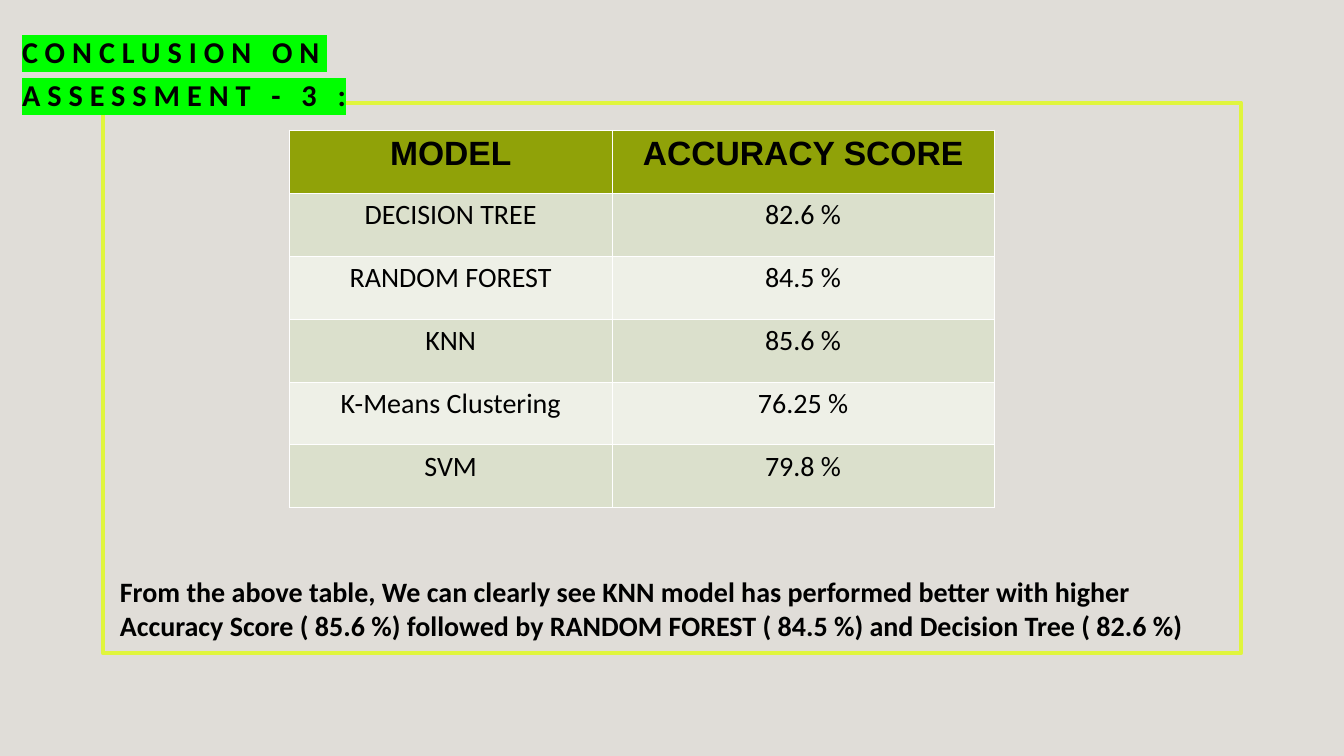
from lxml import etree
from pptx import Presentation
from pptx import util as u
from pptx.dml.color import RGBColor
from pptx.enum import shapes, text
from pptx.oxml import ns

MODELS = [
    ("MODEL", "ACCURACY SCORE"),
    ("DECISION TREE", "82.6 %"),
    ("RANDOM FOREST", "84.5 %"),
    ("KNN", "85.6 %"),
    ("K-Means Clustering", "76.25 %"),
    ("SVM", "79.8 %"),
]
SUMMARY = (
    "From the above table, We can clearly see KNN model has performed better with higher "
    "Accuracy Score ( 85.6 %) followed by RANDOM FOREST ( 84.5 %) and Decision Tree ( 82.6 %)"
)


def color(value):
    """Turn a hex string into a colour."""
    return RGBColor.from_string(value)


class Page:
    """Hold the style and the current slide."""

    ink, accent, header = "000000", "E0F53D", "90A208"
    bands, rule, marker = ("EEF0E7", "DBE0CC"), "FFFFFF", "00FF00"

    def __init__(self, deck, background):
        """Add a blank slide with a plain background."""
        self.slide = deck.slides.add_slide(deck.slide_layouts[6])
        fill = self.slide.background.fill
        fill.solid()
        fill.fore_color.rgb = color(background)

    def add_words(self, para, words, size, bold=True, face="Calibri"):
        """Put one styled run into a paragraph."""
        span = para.add_run()
        span.text = words
        para.font.name, para.font.size, para.font.bold = face, u.Pt(size), bold
        para.font.color.rgb = color(self.ink)
        return span

    def frame(self, *place):
        """Draw an outlined rectangle."""
        box = self.slide.shapes.add_shape(shapes.MSO_SHAPE.RECTANGLE, *map(u.Inches, place))
        box.shadow.inherit = False
        box.fill.background()
        box.line.color.rgb = color(self.accent)
        box.line.width = u.Pt(3)

    def textbox(self, words, size, *place, anchor=text.MSO_ANCHOR.TOP):
        """Add wrapped bold text and return its paragraph and run."""
        box = self.slide.shapes.add_textbox(*map(u.Inches, place))
        box.text_frame.word_wrap = True
        box.text_frame.vertical_anchor = anchor
        para = box.text_frame.paragraphs[0]
        return para, self.add_words(para, words, size)

    def title(self, words, *place):
        """Add a spaced title with a marker highlight."""
        para, span = self.textbox(words, 21.6, *place, anchor=text.MSO_ANCHOR.BOTTOM)
        para.line_spacing = 1.2
        props = span.font._element
        props.set("spc", "500")
        highlight = etree.SubElement(props, ns.qn("a:highlight"))
        etree.SubElement(highlight, ns.qn("a:srgbClr"), val=self.marker)

    def border(self, cell):
        """Draw thin lines on all four sides of a cell."""
        props = cell._tc.get_or_add_tcPr()
        for index, side in enumerate(("lnL", "lnR", "lnT", "lnB")):
            line = etree.Element(ns.qn(f"a:{side}"), w=str(u.Pt(0.75)))
            fill = etree.SubElement(line, ns.qn("a:solidFill"))
            etree.SubElement(fill, ns.qn("a:srgbClr"), val=self.rule)
            props.insert(index, line)

    def table(self, rows, widths, left, top, height):
        """Add a centred table with a header and banded rows."""
        place = map(u.Inches, (left, top, sum(widths), height * len(rows)))
        grid = self.slide.shapes.add_table(len(rows), len(widths), *place).table
        for column, width in zip(grid.columns, widths):
            column.width = u.Inches(width)
        for index, values in enumerate(rows):
            heading = index == 0
            for cell, words in zip(grid.rows[index].cells, values):
                cell.fill.solid()
                cell.fill.fore_color.rgb = color(self.header if heading else self.bands[index % 2])
                self.border(cell)
                para = cell.text_frame.paragraphs[0]
                para.alignment = text.PP_ALIGN.CENTER
                if heading:
                    self.add_words(para, words, 24, face="Arial")
                else:
                    self.add_words(para, words, 20, bold=False)


def main():
    """Build and save the slide."""
    deck = Presentation()
    deck.slide_width, deck.slide_height = u.Inches(13.33), u.Inches(7.5)
    page = Page(deck, "E0DDD8")
    page.frame(1.02, 1.02, 11.29, 5.46)
    page.title("CONCLUSION ON ASSESSMENT - 3 :", 0.12, -0.08, 3.59, 1.25)
    page.table(MODELS, (3.2, 3.79), 2.87, 1.29, 0.625)
    page.textbox(SUMMARY, 20, 1.09, 5.65, 11.06, 0.77)
    deck.save("out.pptx")


if __name__ == "__main__":
    main()
